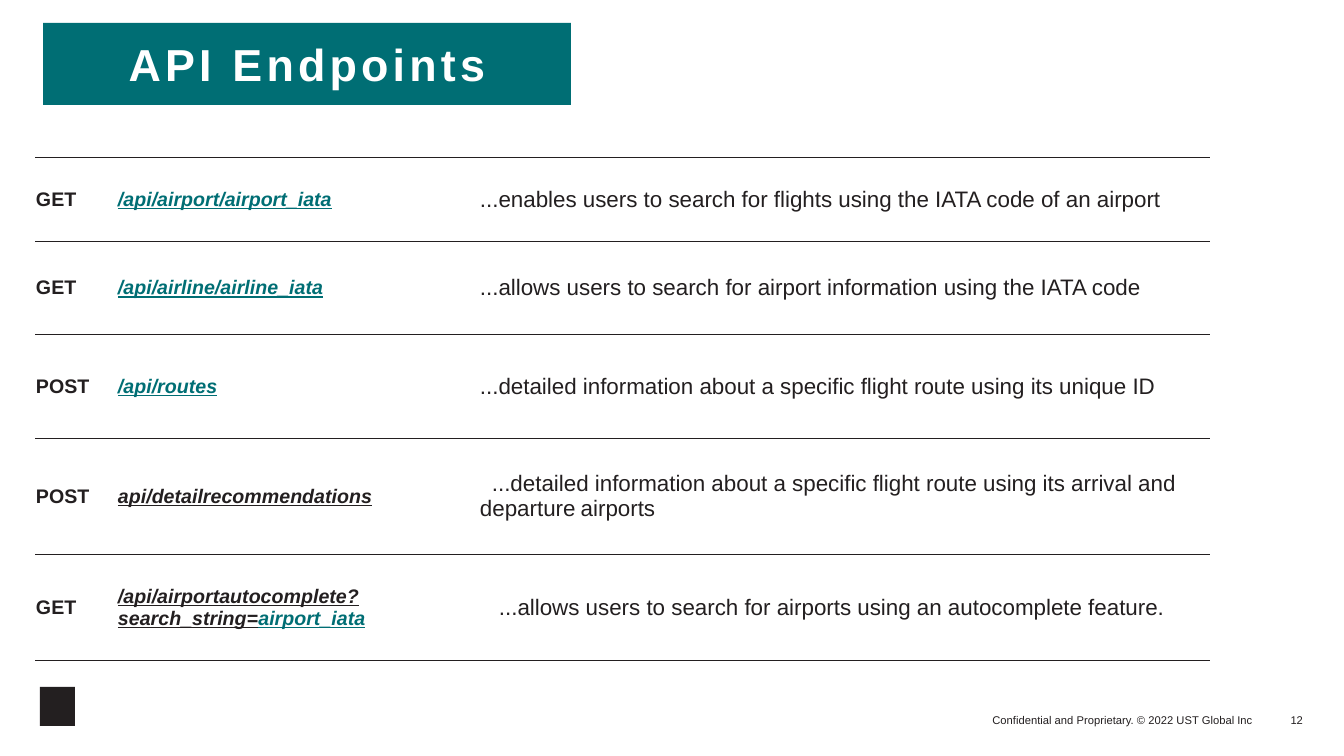
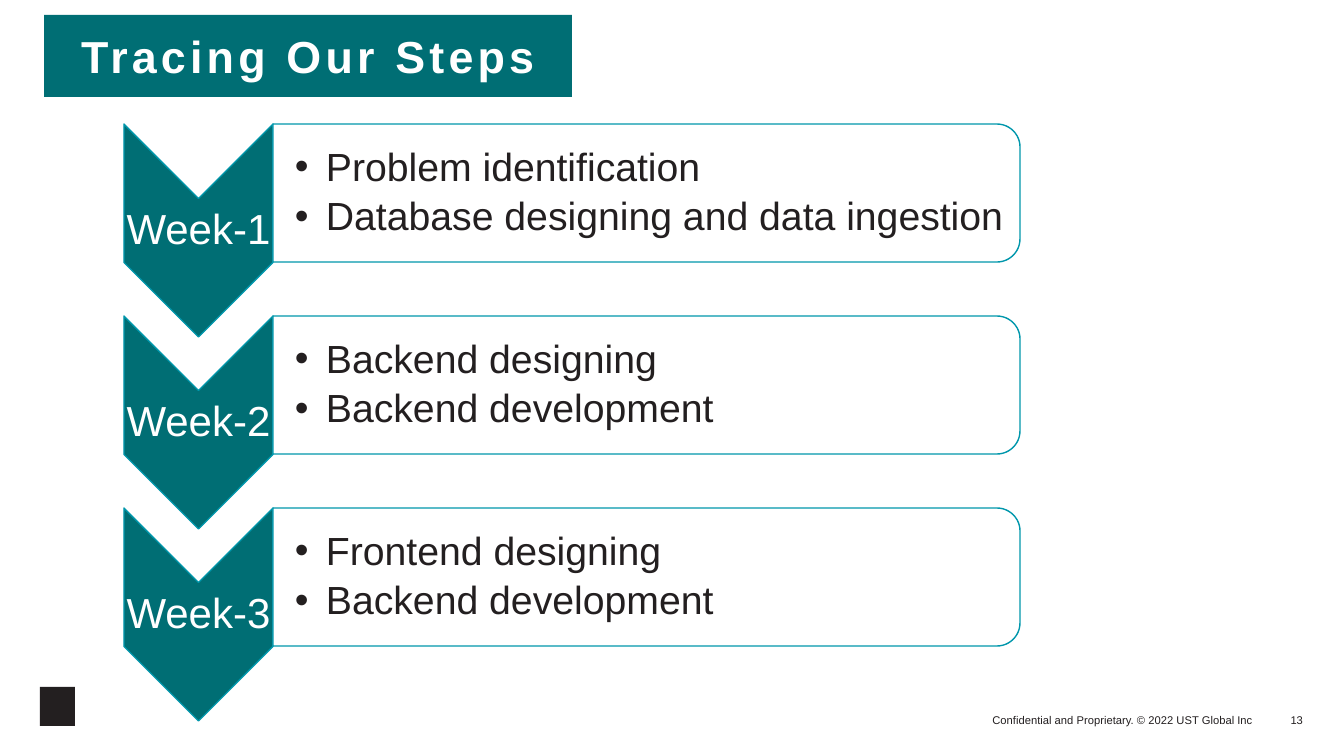
import lxml.etree
import pptx
import pptx.dml.color
import pptx.enum.shapes
import pptx.enum.text
import pptx.oxml.ns
import pptx.util

SCALE = 914400 / 100.8
INK = "231F20"
TEAL = "006E74"
EDGE = "0097AC"
WHITE = "FFFFFF"
KIND = pptx.enum.shapes.MSO_SHAPE
ALIGN = pptx.enum.text.PP_ALIGN
ANCHOR = pptx.enum.text.MSO_ANCHOR


def px(count):
    return pptx.util.Emu(round(count * SCALE))


def tint(code):
    return pptx.dml.color.RGBColor.from_string(code)


def node(base, tag, **attrs):
    return lxml.etree.SubElement(base, pptx.oxml.ns.qn("a:" + tag), attrs)


def say(para, text, size=14, color=INK, bold=False, slant=False, under=False, space=0):
    run = para.add_run()
    run.text = text
    font = run.font
    font.name = "Arial"
    font.size = pptx.util.Pt(size)
    font.color.rgb = tint(color)
    font.bold = bold
    font.italic = slant
    font.underline = under
    if space:
        font._element.set("spc", str(space * 100))


class Deck:
    def __init__(self):
        self.show = pptx.Presentation()
        self.show.slide_width = px(1344)
        self.show.slide_height = px(756)
        self.slide = None

    def page(self, number):
        self.slide = self.show.slides.add_slide(self.show.slide_layouts[6])
        self.shape(KIND.RECTANGLE, 40, 687, 35, 39, INK)
        owner = "Confidential and Proprietary. © 2022 UST Global Inc"
        for text, left, width in ((owner, 906, 347), (number, 1253, 50)):
            frame = self.frame(left, 697, width, 30, anchor=ANCHOR.BOTTOM)
            para = frame.paragraphs[0]
            para.alignment = ALIGN.RIGHT
            say(para, text, size=8)

    def shape(self, kind, left, top, width, height, fill, line=None, turn=False):
        if turn:
            shift = (width - height) / 2
            left, top = left + shift, top - shift
            width, height = height, width
        shape = self.slide.shapes.add_shape(kind, px(left), px(top), px(width), px(height))
        shape.shadow.inherit = False
        shape.rotation = 90 if turn else 0
        shape.fill.solid()
        shape.fill.fore_color.rgb = tint(fill)
        if line:
            shape.line.color.rgb = tint(line)
            shape.line.width = pptx.util.Pt(1)
        else:
            shape.line.fill.background()
        return shape

    def frame(self, left, top, width, height, inset=0, lead=0, anchor=ANCHOR.MIDDLE):
        box = self.slide.shapes.add_textbox(px(left), px(top), px(width), px(height))
        frame = box.text_frame
        frame.word_wrap = True
        frame.vertical_anchor = anchor
        frame.margin_left = px(lead or inset)
        frame.margin_top = frame.margin_right = frame.margin_bottom = px(inset)
        return frame

    def title(self, text, left, top):
        bar = self.shape(KIND.RECTANGLE, left, top, 528, 82, TEAL)
        bar.text_frame.vertical_anchor = ANCHOR.MIDDLE
        para = bar.text_frame.paragraphs[0]
        para.alignment = ALIGN.CENTER
        say(para, text, size=32, color=WHITE, bold=True, space=3)

    def table(self, left, top, widths, heights):
        part = self.slide.shapes.add_table(
            len(heights), len(widths), px(left), px(top), px(sum(widths)), px(sum(heights)))
        grid = part.table
        grid.first_row = grid.horz_banding = False
        for column, width in zip(grid.columns, widths):
            column.width = px(width)
        for row, height in zip(grid.rows, heights):
            row.height = px(height)
            for cell in row.cells:
                self.rule(cell)
        return grid

    def rule(self, cell):
        cell.vertical_anchor = ANCHOR.MIDDLE
        cell.margin_left = cell.margin_top = cell.margin_right = px(1)
        cell.margin_bottom = 0
        props = cell._tc.get_or_add_tcPr()
        for side in ("lnL", "lnR"):
            node(node(props, side, w="0"), "noFill")
        for side in ("lnT", "lnB"):
            line = node(props, side, w=str(pptx.util.Pt(0.5)))
            node(node(line, "solidFill"), "srgbClr", val=INK)
        cell.fill.background()

    def indent(self, para, first, tab):
        props = para._p.get_or_add_pPr()
        props.set("marL", "0")
        props.set("indent", str(px(first)))
        if tab:
            node(node(props, "tabLst"), "tab", pos=str(px(tab)), algn="l")

    def bullets(self, frame, items):
        for index, text in enumerate(items):
            para = frame.add_paragraph() if index else frame.paragraphs[0]
            para.line_spacing = 0.9
            para.space_before = pptx.util.Pt(5 if index else 0)
            props = para._p.get_or_add_pPr()
            props.set("marL", str(px(31)))
            props.set("indent", str(px(-31)))
            node(props, "buFont", typeface="Arial")
            node(props, "buChar", char="•")
            say(para, text, size=28)

    def week(self, top, name, items):
        self.shape(KIND.CHEVRON, 124, top, 149, 213, TEAL, EDGE, turn=True)
        self.shape(KIND.ROUND_2_SAME_RECTANGLE, 273, top, 747, 138, WHITE, EDGE, turn=True)
        para = self.frame(124, top + 75, 149, 63, inset=2).paragraphs[0]
        para.alignment = ALIGN.CENTER
        para.line_spacing = 0.9
        say(para, name, size=30, color=WHITE)
        self.bullets(self.frame(273, top + 7, 740, 125, inset=2, lead=22), items)


ROUTES = (
    ("GET", (("/api/airport/airport_iata", TEAL),),
     "...enables users to search for flights using the IATA code of an airport", 0, 0),
    ("GET", (("/api/airline/airline_iata", TEAL),),
     "...allows users to search for airport information using the IATA code", 0, 0),
    ("POST", (("/api/routes", TEAL),),
     "...detailed information about a specific flight route using its unique ID", 0, 0),
    ("POST", (("api/detailrecommendations", INK),),
     "...detailed information about a specific flight route using its arrival and "
     "departure\tairports", 12, 176),
    ("GET", (("/api/airportautocomplete?search_string=", INK), ("airport_iata", TEAL)),
     "...allows users to search for airports using an autocomplete feature.", 19, 0),
)

WEEKS = (
    ("Week-1", ("Problem identification", "Database designing and data ingestion")),
    ("Week-2", ("Backend designing", "Backend development")),
    ("Week-3", ("Frontend designing", "Backend development")),
)


def routes(deck):
    deck.page("12")
    deck.title("API Endpoints", 43, 23)
    grid = deck.table(35, 157, (82, 362, 731), (84, 93, 104, 116, 106))
    for row, (verb, link, about, first, tab) in zip(grid.rows, ROUTES):
        call, route, note = (cell.text_frame.paragraphs[0] for cell in row.cells)
        say(call, verb, bold=True)
        for text, color in link:
            say(route, text, color=color, bold=True, slant=True, under=True)
        deck.indent(note, first, tab)
        say(note, about, size=16)


def steps(deck):
    deck.page("13")
    for index, (name, items) in enumerate(WEEKS):
        deck.week(124 + 192 * index, name, items)
    deck.title("Tracing Our Steps", 44, 15)


def main():
    deck = Deck()
    routes(deck)
    steps(deck)
    deck.show.save("out.pptx")


if __name__ == "__main__":
    main()
